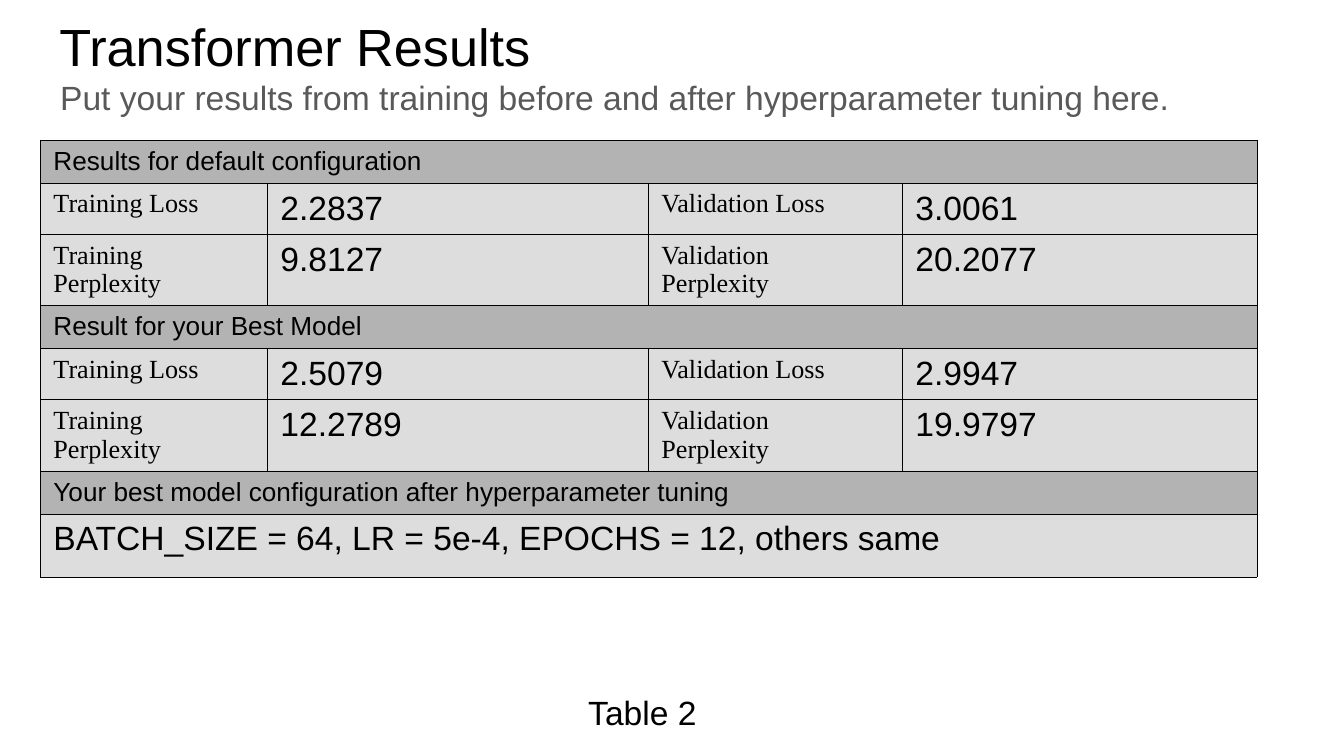
from lxml.etree import SubElement as Sub
from pptx import Presentation
from pptx.dml.color import RGBColor
from pptx.enum.text import MSO_ANCHOR as Anchor, PP_ALIGN as Align
from pptx.oxml.ns import qn
from pptx.util import Pt

SCALE = 914400 / 134.4
BLACK = RGBColor(0x00, 0x00, 0x00)
GRAY = RGBColor(0x59, 0x59, 0x59)
BAND = RGBColor(0xB3, 0xB3, 0xB3)
PALE = RGBColor(0xDD, 0xDD, 0xDD)
SANS, SERIF = "Arial", "Times New Roman"
COLS = [227, 381, 254, 355]
BLOCK = [43, 51, 71]
ROWS = BLOCK * 2 + [43, 63]
LOSS = ("Training Loss", "Validation Loss")
PERP = ("Training Perplexity", "Validation\vPerplexity")


def px(*nums):
    """Turn pixels into EMU."""
    return [round(n * SCALE) for n in nums]


def style(para, size, color=BLACK, face=SANS):
    """Set the font of a paragraph."""
    font = para.font
    font.size, font.name, font.bold = Pt(size), face, False
    font.color.rgb = color


def write(shape, box, text, size, color=BLACK, pad=7):
    """Place a shape and fill it with one line of text."""
    shape.left, shape.top, shape.width, shape.height = px(*box)
    frame = shape.text_frame
    frame.word_wrap = True
    frame.vertical_anchor = Anchor.TOP
    frame.margin_left, frame.margin_right = px(13.44, 13.44)
    frame.margin_top, frame.margin_bottom = px(pad, pad)
    frame.text = text
    para = frame.paragraphs[0]
    para.alignment, para.line_spacing = Align.LEFT, 1.0
    para.space_before = Pt(0)
    style(para, size, color)


def label(slide, *args):
    """Add a text box."""
    write(slide.shapes.add_textbox(0, 0, 0, 0), *args)


def edge(cell):
    """Draw hairlines around a cell."""
    props = cell._tc.get_or_add_tcPr()
    for side in "LRTB":
        line = Sub(props, qn(f"a:ln{side}"), w="762")
        fill = Sub(line, qn("a:solidFill"))
        Sub(fill, qn("a:srgbClr"), val=str(BLACK))


def put(cell, text, size, face=SANS):
    """Write text into a cell."""
    cell.text = text
    style(cell.text_frame.paragraphs[0], size, face=face)


def span(table, row, text, size):
    """Merge a row and write its text."""
    table.cell(row, 0).merge(table.cell(row, len(COLS) - 1))
    put(table.cell(row, 0), text, size)


def pairs(table, row, names, values):
    """Fill a row with names and their values."""
    for i, (name, value) in enumerate(zip(names, values)):
        put(table.cell(row, 2 * i), name, 14, SERIF)
        put(table.cell(row, 2 * i + 1), value, 18)


def grid(slide):
    """Add the empty table with its fills and borders."""
    box = px(40, 140, sum(COLS), sum(ROWS))
    table = slide.shapes.add_table(len(ROWS), len(COLS), *box).table
    table.first_row = table.horz_banding = False
    for col, width in zip(table.columns, px(*COLS)):
        col.width = width
    for i, (row, height) in enumerate(zip(table.rows, px(*ROWS))):
        row.height = height
        for cell in row.cells:
            edge(cell)
            cell.fill.solid()
            cell.fill.fore_color.rgb = PALE if i % len(BLOCK) else BAND
    return table


def block(table, top, head, loss, perp):
    """Fill one heading with its two rows of results."""
    span(table, top, head, 14)
    pairs(table, top + 1, LOSS, loss)
    pairs(table, top + 2, PERP, perp)


def main():
    """Build the slide."""
    deck = Presentation()
    deck.slide_width, deck.slide_height = px(1344, 756)
    slide = deck.slides.add_slide(deck.slide_layouts[5])
    write(slide.shapes.title, (46, 1, 1253, 83), "Transformer Results", 28, BLACK, 13)
    table = grid(slide)
    block(table, 0, "Results for default configuration",
          ("2.2837", "3.0061"), ("9.8127", "20.2077"))
    block(table, 3, "Result for your Best Model",
          ("2.5079", "2.9947"), ("12.2789", "19.9797"))
    span(table, 6, "Your best model configuration after hyperparameter tuning", 14)
    span(table, 7, "BATCH_SIZE = 64, LR = 5e-4, EPOCHS = 12, others same", 18)
    label(slide, (47, 70, 1144, 51),
          "Put your results from training before and after hyperparameter tuning here.",
          18, GRAY)
    label(slide, (575, 685, 148, 54), "Table 2", 18)
    deck.save("out.pptx")


main()
